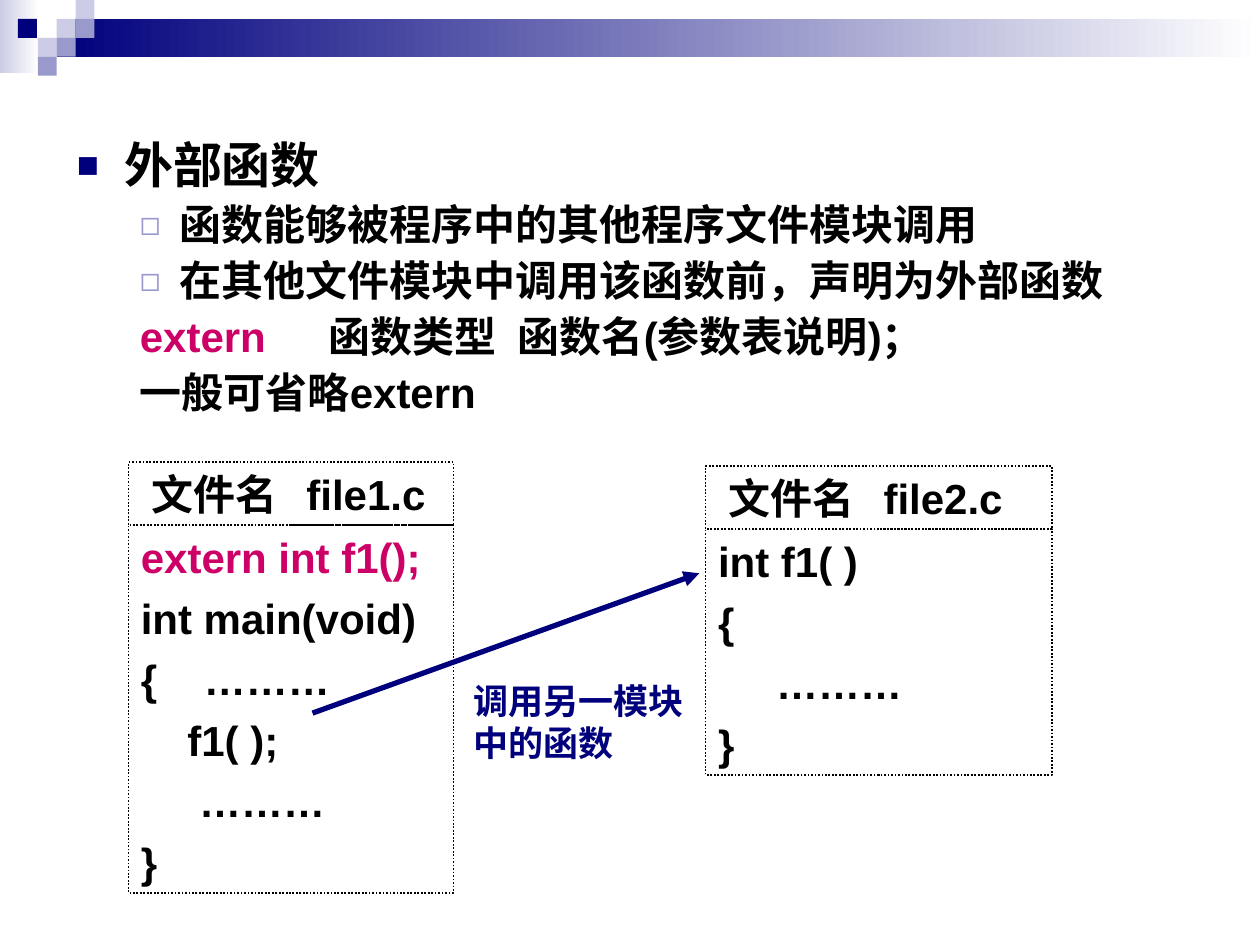
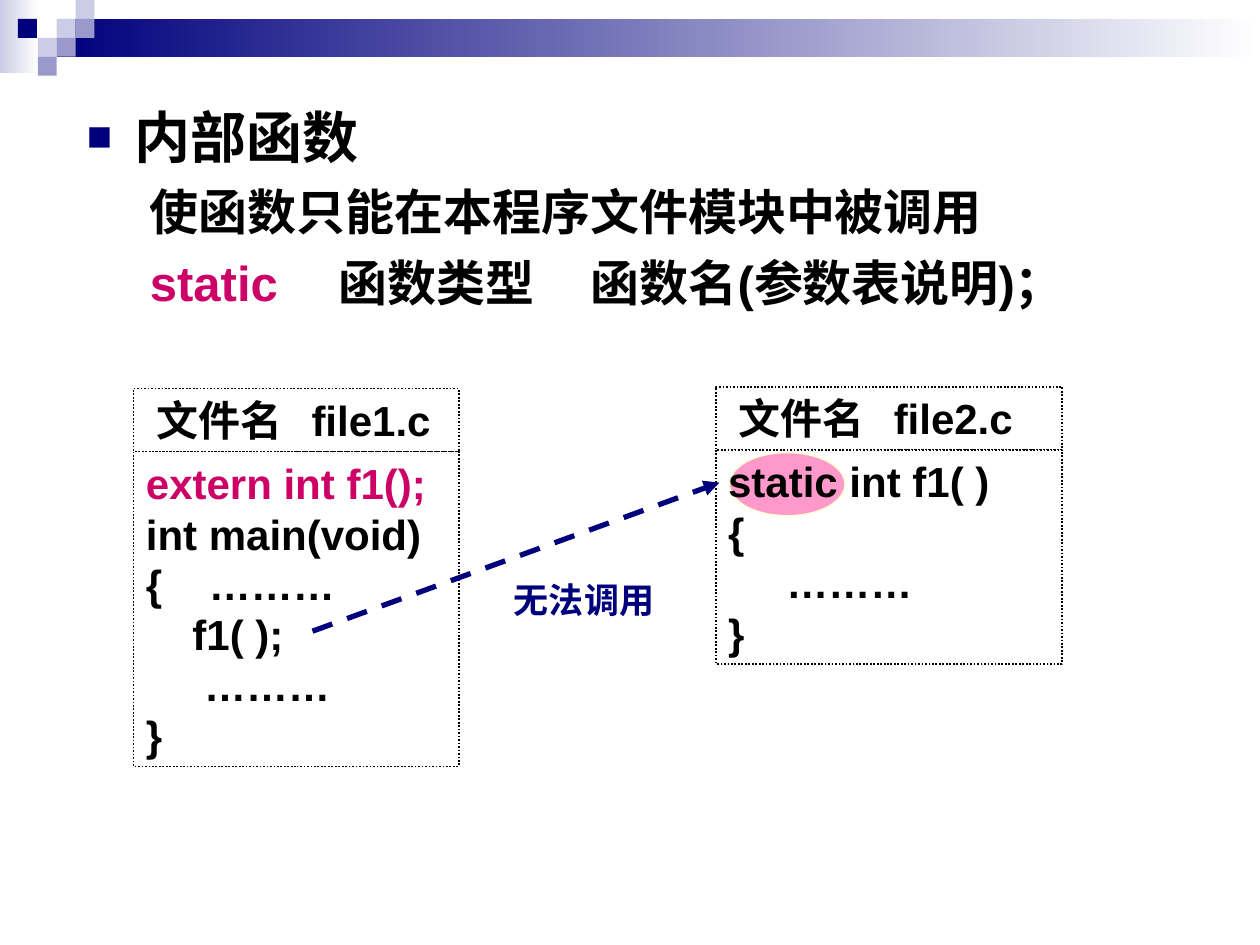
from dataclasses import dataclass

from lxml.etree import SubElement
from pptx import Presentation
from pptx.dml.color import RGBColor
from pptx.enum.dml import MSO_LINE
from pptx.enum.shapes import MSO_CONNECTOR, MSO_SHAPE
from pptx.enum.text import MSO_ANCHOR, MSO_AUTO_SIZE, PP_ALIGN
from pptx.oxml.ns import qn
from pptx.util import Pt


@dataclass
class Theme:
    navy: str = "00007D"
    violet: str = "9999CC"
    lilac: str = "CCCCE6"
    white: str = "FFFFFF"
    black: str = "000000"
    keyword: str = "CC0066"
    pink: str = "FF99CC"
    cream: str = "FFFFCC"
    font: str = "Arial"
    code: int = 24
    label: int = 20


T = Theme()
BULLETS = {0: ("■", T.navy, 75), 1: ("◻", T.violet, 80)}
INDENTS = {0: (27, -27), 1: (58.5, -22.5)}


def add_text(tf, text, size=T.code, color=T.black, keyword="", level=None,
             bullet=False, before=0, spacing=None, tabs=()):
    """Add one paragraph; keyword is the opening part of text set in pink."""
    first = not tf.paragraphs[0].runs
    p = tf.paragraphs[0] if first else tf.add_paragraph()
    pPr = p._p.get_or_add_pPr()
    if level is not None:
        p.level = level
        left, hang = (0, 0) if tabs else INDENTS[level]
        pPr.set("marL", str(Pt(left)))
        pPr.set("indent", str(Pt(hang)))
        if bullet:
            char, tint, percent = BULLETS[level]
            clr = SubElement(pPr, qn("a:buClr"))
            SubElement(clr, qn("a:srgbClr"), val=tint)
            SubElement(pPr, qn("a:buSzPct"), val=str(percent * 1000))
            SubElement(pPr, qn("a:buChar"), char=char)
        else:
            SubElement(pPr, qn("a:buNone"))
    if tabs:
        tab_list = SubElement(pPr, qn("a:tabLst"))
        for pos in tabs:
            SubElement(tab_list, qn("a:tab"), pos=str(Pt(pos)), algn="l")
    p.alignment = PP_ALIGN.LEFT
    p.space_before = Pt(0 if first else before)
    if spacing:
        p.line_spacing = spacing
    for part, tint in ((keyword, T.keyword), (text[len(keyword):], color)):
        if part:
            r = p.add_run()
            r.text = part
            r.font.name, r.font.size, r.font.bold = T.font, Pt(size), True
            r.font.color.rgb = RGBColor.from_string(tint)


def add_box(s, rect, kind=MSO_SHAPE.RECTANGLE, fill=None, line=None, width=1, dash=None):
    """Add a shape; a pair of colours as fill makes a left-to-right gradient."""
    sp = s.shapes.add_shape(kind, *map(Pt, rect))
    sp.shadow.inherit = False
    if isinstance(fill, tuple):
        sp.fill.gradient()
        sp.fill.gradient_angle = 0
        for stop, tint in zip(sp.fill.gradient_stops, fill):
            stop.color.rgb = RGBColor.from_string(tint)
    elif fill:
        sp.fill.solid()
        sp.fill.fore_color.rgb = RGBColor.from_string(fill)
    else:
        sp.fill.background()
    if line:
        sp.line.color.rgb = RGBColor.from_string(line)
        sp.line.width = Pt(width)
        sp.line.dash_style = dash
    else:
        sp.line.fill.background()
    tf = sp.text_frame
    tf.word_wrap = True
    tf.vertical_anchor = MSO_ANCHOR.TOP
    return sp


prs = Presentation()
prs.slide_width, prs.slide_height = Pt(720), Pt(540)

CALLER = ["extern int f1();", "int main(void)", "{    ………", "    f1( );", "     ………", "}"]
SYNTAX = "\t{}\t函数类型\t函数名(参数表说明)；"
slides = [
    dict(
        body=(36.7, 77, 640.8, 170), spacing=0.9,
        points=[
            dict(text="外部函数", size=28, level=0, bullet=True),
            dict(text="函数能够被程序中的其他程序文件模块调用", level=1, bullet=True, before=6),
            dict(text="在其他文件模块中调用该函数前，声明为外部函数", level=1, bullet=True, before=6),
            dict(text=SYNTAX.format("extern"), keyword="\textern", level=1, before=6,
                 tabs=(36, 127.5, 234.3)),
            dict(text="一般可省略extern", level=1, before=6),
        ],
        files=[("file1.c", (73.4, 264.2, 185.8, 210), CALLER),
               ("file2.c", (403.2, 266.4, 198, 140.4), ["int f1( )", "{", "     ………", "}"])],
        code_gap=6, highlight=None,
        label=("调用另一模块中的函数", (263.5, 384.5, 144, 55.4)),
        arrow=(178.6, 407.5, 399.6, 327.6), dash=None,
    ),
    dict(
        body=(42.5, 54.7, 617.8, 130.3), spacing=None,
        points=[
            dict(text="内部函数", size=32, level=0, bullet=True),
            dict(text="使函数只能在本程序文件模块中被调用", size=28, level=1, before=7),
            dict(text=SYNTAX.format("static"), keyword="\tstatic", size=28, level=1, before=7,
                 tabs=(61, 157, 281.5)),
        ],
        files=[("file1.c", (76.3, 222, 185.8, 180), CALLER),
               ("file2.c", (409, 221, 198, 122.4), ["static int f1( )", "{", "     ………", "}"])],
        code_gap=0, highlight=(416.9, 258.7, 66, 36),
        label=("无法调用", (286.6, 326.9, 95.8, 31.7)),
        arrow=(178.6, 360.7, 411.1, 275.8), dash=MSO_LINE.DASH,
    ),
]

HEADER = 36
for spec_no, d in enumerate(slides):
    s = prs.slides.add_slide(prs.slide_layouts[1])
    title = s.shapes.title.element
    title.getparent().remove(title)

    # The corner mosaic and band are built once and moved to the slide master
    if spec_no == 0:
        CELL = 10.8
        decor = [add_box(s, (0, 0, 22.3, 41.8), fill=(T.lilac, T.white)),
                 add_box(s, (32.4, CELL, 687.6, 21.6), fill=(T.navy, T.white))]
        for col, row, tint in [(3, 1, T.lilac), (4, 0, T.lilac), (4, 1, T.violet),
                               (2, 2, T.lilac), (0.95, 1, T.navy), (3, 2, T.violet),
                               (2, 3, T.violet)]:
            decor.append(add_box(s, (col * CELL, row * CELL, CELL, CELL), fill=tint))
        for i, sp in enumerate(decor):
            sp.element.nvSpPr.cNvPr.id = 100 + i
            prs.slide_master.shapes.element.insert(2 + i, sp.element)

    body = s.placeholders[1]
    body.left, body.top, body.width, body.height = map(Pt, d["body"])
    tf = body.text_frame
    tf.auto_size = MSO_AUTO_SIZE.NONE
    tf.vertical_anchor = MSO_ANCHOR.TOP
    for point in d["points"]:
        add_text(tf, spacing=d["spacing"], **point)

    if d["highlight"]:
        add_box(s, d["highlight"], MSO_SHAPE.OVAL, fill=T.pink, line=T.cream, width=0.75)

    for name, (x, y, w, h), code in d["files"]:
        dotted = dict(line=T.black, dash=MSO_LINE.ROUND_DOT)
        listing = add_box(s, (x, y + HEADER, w, h), **dotted)
        for row in code:
            add_text(listing.text_frame, row, before=d["code_gap"],
                     keyword=row if row.startswith("extern") else "")
        header = add_box(s, (x, y, w, HEADER), **dotted)
        header.text_frame.margin_left = Pt(13.2)
        add_text(header.text_frame, f"文件名\t{name}", tabs=(88.5,))

    text, rect = d["label"]
    tf = s.shapes.add_textbox(*map(Pt, rect)).text_frame
    tf.word_wrap = True
    add_text(tf, text, size=T.label, color=T.navy)

    call = s.shapes.add_connector(MSO_CONNECTOR.STRAIGHT, *map(Pt, d["arrow"]))
    call.line.color.rgb = RGBColor.from_string(T.navy)
    call.line.width = Pt(3)
    call.line.dash_style = d["dash"]
    SubElement(call.line._get_or_add_ln(), qn("a:tailEnd"), type="triangle")
    SubElement(call.element.spPr, qn("a:effectLst"))

prs.save("out.pptx")
